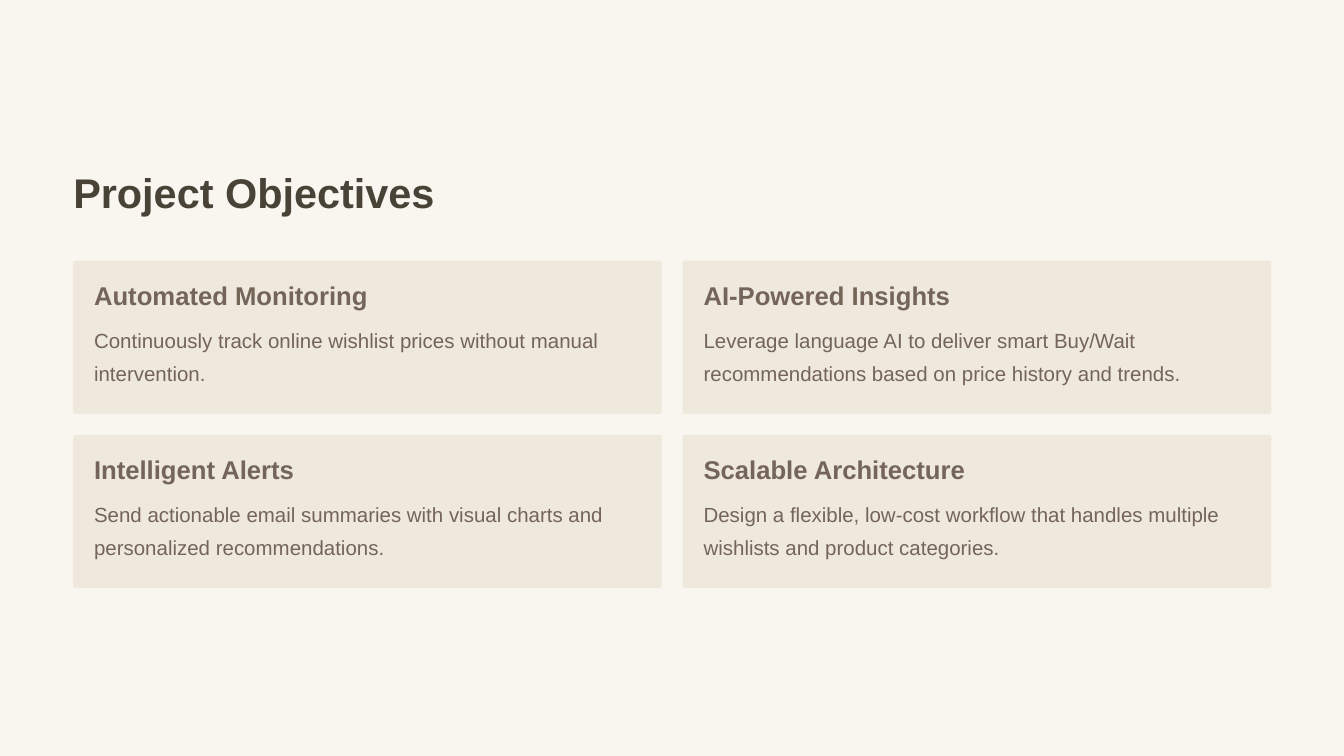
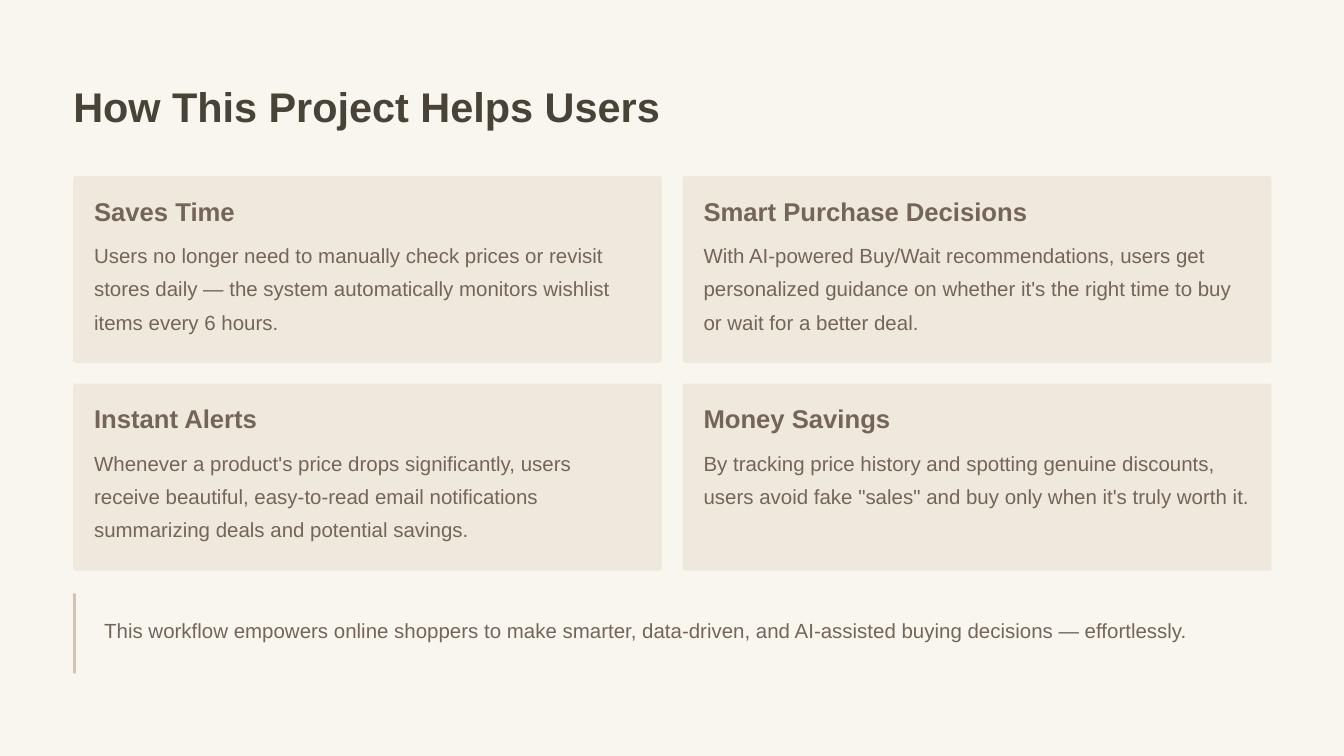
from pptx import Presentation
from pptx.dml.color import RGBColor
from pptx.enum.shapes import MSO_SHAPE
from pptx.enum.text import MSO_ANCHOR, MSO_AUTO_SIZE, PP_ALIGN
from pptx.util import Inches, Pt

ROUNDED = MSO_SHAPE.ROUNDED_RECTANGLE
RECTANGLE = MSO_SHAPE.RECTANGLE
TOP = MSO_ANCHOR.TOP
LEFT = PP_ALIGN.LEFT
NO_AUTOFIT = MSO_AUTO_SIZE.NONE

# Shared look: fill colours, text styles (size, line spacing, colour, bold)
PAPER, CARD, RULE = "F9F6F0", "EEE8DD", "D3C5B6"
TITLE_STYLE = (44.4, 55.6, "484237", True)
HEADING_STYLE = (27.5, 34.4, "746558", True)
BODY_STYLE = (21.9, 35.6, "746558", False)

# Shared grid, in inches
MARGIN, CONTENT_WIDTH = 1.09, 17.82
CARD_WIDTH, GAP, CORNER = 8.76, 0.31, 0.04
HEADING_DROP, BODY_DROP = 0.27, 0.87

SLIDES = [
    {
        "title": "Project Objectives",
        "title_top": 2.45,
        "cards_top": 3.88,
        "card_height": 2.28,
        "cards": [
            ("Automated Monitoring",
             "Continuously track online wishlist prices without manual intervention."),
            ("AI-Powered Insights",
             "Leverage language AI to deliver smart Buy/Wait recommendations "
             "based on price history and trends."),
            ("Intelligent Alerts",
             "Send actionable email summaries with visual charts and "
             "personalized recommendations."),
            ("Scalable Architecture",
             "Design a flexible, low-cost workflow that handles multiple "
             "wishlists and product categories."),
        ],
    },
    {
        "title": "How This Project Helps Users",
        "title_top": 1.18,
        "cards_top": 2.62,
        "card_height": 2.78,
        "cards": [
            ("Saves Time",
             "Users no longer need to manually check prices or revisit stores "
             "daily — the system automatically monitors wishlist items every 6 hours."),
            ("Smart Purchase Decisions",
             "With AI-powered Buy/Wait recommendations, users get personalized "
             "guidance on whether it's the right time to buy or wait for a better deal."),
            ("Instant Alerts",
             "Whenever a product's price drops significantly, users receive "
             "beautiful, easy-to-read email notifications summarizing deals "
             "and potential savings."),
            ("Money Savings",
             "By tracking price history and spotting genuine discounts, users "
             "avoid fake \"sales\" and buy only when it's truly worth it."),
        ],
        "takeaway": "This workflow empowers online shoppers to make smarter, "
                    "data-driven, and AI-assisted buying decisions — effortlessly.",
    },
]


def paint(fill, color):
    fill.solid()
    fill.fore_color.rgb = RGBColor.from_string(color)


def write(box, text, style, left, top, width, height):
    size, spacing, color, bold = style
    box.left, box.top = Inches(left), Inches(top)
    box.width, box.height = Inches(width), Inches(height)
    frame = box.text_frame
    frame.margin_left = frame.margin_right = frame.margin_top = frame.margin_bottom = 0
    frame.word_wrap = True
    frame.auto_size = NO_AUTOFIT
    frame.vertical_anchor = TOP
    frame.text = text
    paragraph = frame.paragraphs[0]
    paragraph.alignment = LEFT
    paragraph.line_spacing = Pt(spacing)
    paragraph.font.name = "Arial"
    paragraph.font.size = Pt(size)
    paragraph.font.bold = bold
    paragraph.font.color.rgb = RGBColor.from_string(color)


prs = Presentation()
prs.slide_width, prs.slide_height = Inches(20), Inches(11.25)
paint(prs.slide_master.background.fill, PAPER)
title_only = prs.slide_layouts[5]

for content in SLIDES:
    slide = prs.slides.add_slide(title_only)
    shapes = slide.shapes
    write(shapes.title, content["title"], TITLE_STYLE,
          MARGIN, content["title_top"], CONTENT_WIDTH, 0.82)

    # Two-by-two grid of cards
    card_height = content["card_height"]
    for index, (heading, description) in enumerate(content["cards"]):
        row, column = divmod(index, 2)
        left = MARGIN + column * (CARD_WIDTH + GAP)
        top = content["cards_top"] + row * (card_height + GAP)
        card = shapes.add_shape(ROUNDED, Inches(left), Inches(top),
                                Inches(CARD_WIDTH), Inches(card_height))
        card.adjustments[0] = CORNER / card_height
        card.shadow.inherit = False
        paint(card.fill, CARD)
        card.line.fill.background()

        text_left, text_width = left + GAP, CARD_WIDTH - 2 * GAP
        write(shapes.add_textbox(0, 0, 0, 0), heading, HEADING_STYLE,
              text_left, top + HEADING_DROP, text_width, 0.53)
        write(shapes.add_textbox(0, 0, 0, 0), description, BODY_STYLE,
              text_left, top + BODY_DROP, text_width, card_height - BODY_DROP - GAP)

    # Closing statement beside a vertical rule
    if "takeaway" in content:
        write(shapes.add_textbox(0, 0, 0, 0), content["takeaway"], BODY_STYLE,
              1.55, 9.07, 17.36, 0.61)
        rule = shapes.add_shape(RECTANGLE, Inches(MARGIN), Inches(8.83),
                                Inches(0.04), Inches(1.19))
        rule.shadow.inherit = False
        paint(rule.fill, RULE)
        rule.line.fill.background()

prs.save("out.pptx")
